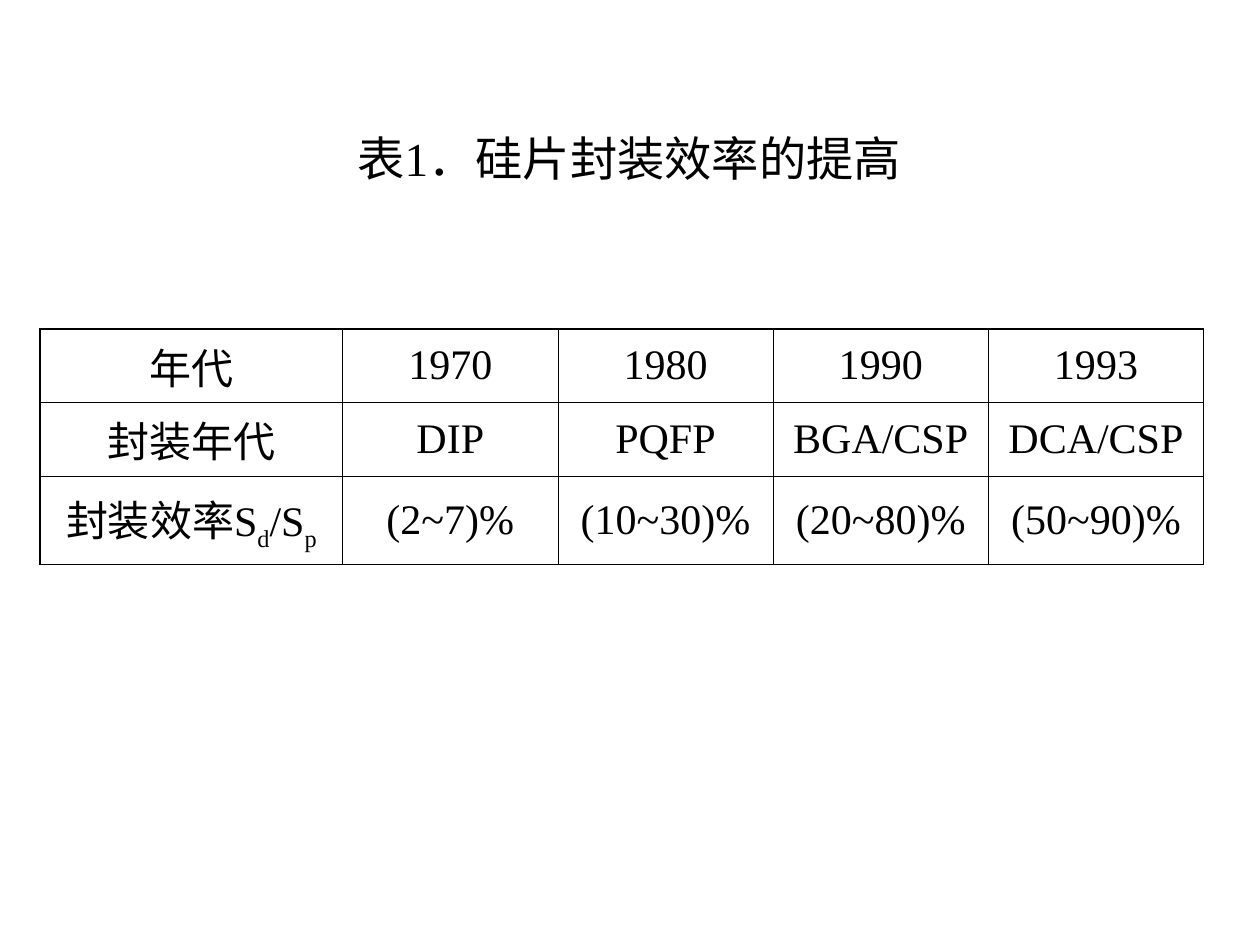
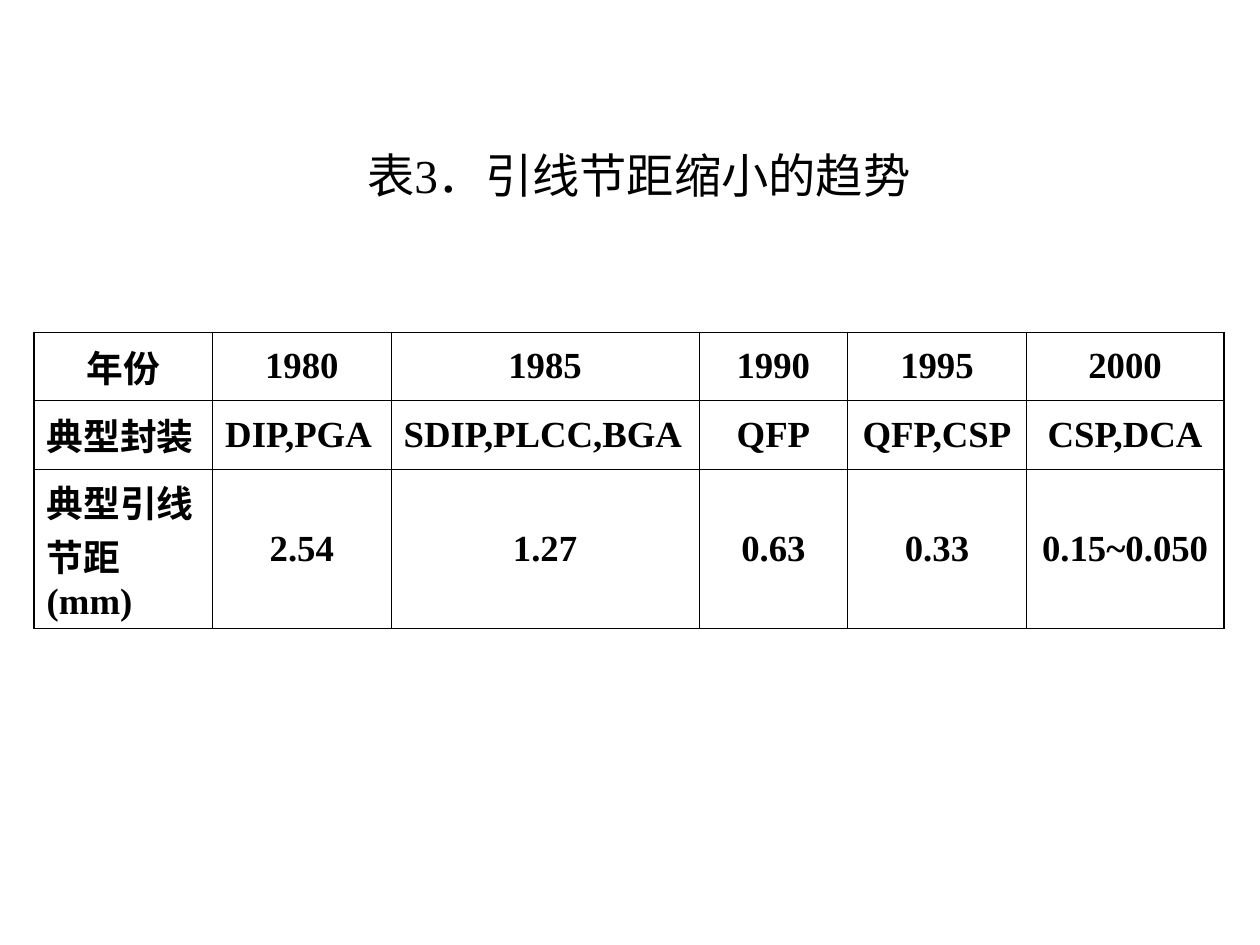
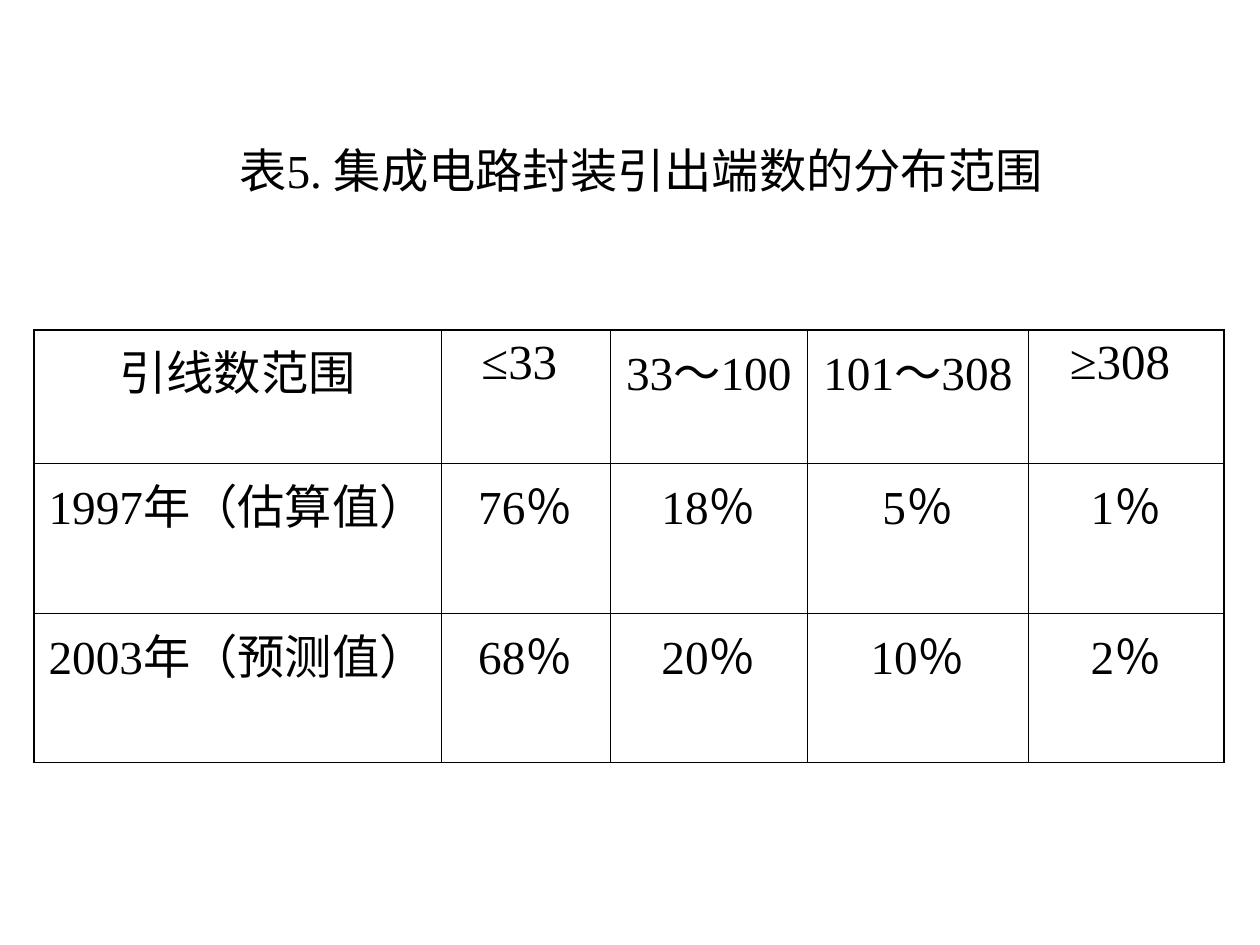
from dataclasses import dataclass

from lxml import etree
from pptx import Presentation
from pptx.dml.color import RGBColor
from pptx.enum.lang import MSO_LANGUAGE_ID
from pptx.enum.text import MSO_ANCHOR, MSO_AUTO_SIZE, PP_ALIGN
from pptx.oxml.ns import qn
from pptx.util import Pt

CENTER, LEFT = PP_ALIGN.CENTER, PP_ALIGN.LEFT
MIDDLE, TOP = MSO_ANCHOR.MIDDLE, MSO_ANCHOR.TOP
NO_AUTOFIT = MSO_AUTO_SIZE.NONE
CHINESE = MSO_LANGUAGE_ID.CHINESE_SINGAPORE if not hasattr(MSO_LANGUAGE_ID, "SIMPLIFIED_CHINESE") else MSO_LANGUAGE_ID.SIMPLIFIED_CHINESE
TITLE_ONLY = 5


@dataclass(frozen=True)
class Theme:
    """Colours, type sizes and line widths shared by the slides."""

    font: str = "Times New Roman"
    ink: str = "000000"
    paper: str = "FFFFFF"
    title: float = 27
    efficiency: float = 24
    pitch: float = 21
    terminals: float = 27
    limits: float = 28
    outer_line: float = 1.08
    inner_line: float = 0.45


THEME = Theme()


def apply_format(target, values):
    """Set each named attribute of the target."""
    for name, value in values.items():
        setattr(target, name, value)


def add_span(para, text, size, bold=False, subscript=False):
    """Add a run in the theme font, lowered if it is a subscript."""
    span = para.add_run()
    span.text = text
    apply_format(span.font, {
        "name": THEME.font,
        "size": Pt(size),
        "bold": bold,
        "language_id": CHINESE,
    })
    span.font.color.rgb = RGBColor.from_string(THEME.ink)
    if subscript:
        span.font._element.set("baseline", "-25000")


def add_page(deck, title, box):
    """Add a page whose title sits in the given box."""
    page = deck.slides.add_slide(deck.slide_layouts[TITLE_ONLY])
    page.background.fill.solid()
    page.background.fill.fore_color.rgb = RGBColor.from_string(THEME.paper)
    holder = page.shapes.title
    apply_format(holder, dict(zip(("left", "top", "width", "height"), map(Pt, box))))
    frame = holder.text_frame
    apply_format(frame, {"auto_size": NO_AUTOFIT, "word_wrap": True, "vertical_anchor": MIDDLE})
    para = frame.paragraphs[0]
    para.alignment = CENTER
    add_span(para, title, THEME.title)
    return page


def set_borders(cell, outer_sides):
    """Draw the cell borders, heavier on the outer sides of the table."""
    properties = cell._tc.get_or_add_tcPr()
    for side in "LRTB":
        width = THEME.outer_line if side in outer_sides else THEME.inner_line
        line = etree.SubElement(properties, qn(f"a:ln{side}"), w=str(int(Pt(width))))
        fill = etree.SubElement(line, qn("a:solidFill"))
        etree.SubElement(fill, qn("a:srgbClr"), val=THEME.ink)


def fill_cell(cell, content, size, bold, alignment, anchor):
    """Write the content; odd parts of a tuple are subscripts."""
    cell.vertical_anchor = anchor
    para = cell.text_frame.paragraphs[0]
    para.alignment = alignment
    parts = content if isinstance(content, tuple) else (content,)
    for index, text in enumerate(parts):
        add_span(para, text, size, bold, subscript=index % 2 == 1)


def add_grid(page, corner, widths, heights, rows, size,
             bold=False, anchor=MIDDLE, left_cells=(), sizes=None):
    """Add a ruled table with centred text, except in the left cells."""
    last_row, last_column = len(heights) - 1, len(widths) - 1
    shape = page.shapes.add_table(len(heights), len(widths), *map(Pt, corner),
                                  Pt(sum(widths)), Pt(sum(heights)))
    table = shape.table
    apply_format(table, {"first_row": False, "horz_banding": False})
    for column, width in zip(table.columns, widths):
        column.width = Pt(width)
    for row, height in zip(table.rows, heights):
        row.height = Pt(height)
    for r, contents in enumerate(rows):
        for c, content in enumerate(contents):
            cell = table.cell(r, c)
            edges = {"L": c == 0, "R": c == last_column, "T": r == 0, "B": r == last_row}
            set_borders(cell, [side for side, outer in edges.items() if outer])
            cell.fill.background()
            fill_cell(cell, content, (sizes or {}).get((r, c), size), bold,
                      LEFT if (r, c) in left_cells else CENTER, anchor)


def add_efficiency_page(deck):
    """Show how packaging efficiency rose."""
    page = add_page(deck, "表1．硅片封装效率的提高", (155.5, 65.5, 408, 49.5))
    add_grid(page, (23, 188), [172.8] + [123] * 4, [41.5, 41.5, 50.5], [
        ("年代", "1970", "1980", "1990", "1993"),
        ("封装年代", "DIP", "PQFP", "BGA/CSP", "DCA/CSP"),
        (("封装效率S", "d", "/S", "p"), "(2~7)%", "(10~30)%", "(20~80)%", "(50~90)%"),
    ], THEME.efficiency)


def add_pitch_page(deck):
    """Show how lead pitch shrank."""
    page = add_page(deck, "表3．引线节距缩小的趋势", (144, 77, 442, 45.5))
    add_grid(page, (19.5, 190), [102, 102, 176, 85, 102, 113], [39, 39, 83], [
        ("年份", "1980", "1985", "1990", "1995", "2000"),
        ("典型封装", "DIP,PGA", "SDIP,PLCC,BGA", "QFP", "QFP,CSP", "CSP,DCA"),
        ("典型引线节距(mm)", "2.54", "1.27", "0.63", "0.33", "0.15~0.050"),
    ], THEME.pitch, bold=True, left_cells={(1, 0), (1, 1), (1, 2), (2, 0)})


def add_terminals_page(deck):
    """Show the spread of terminal counts."""
    page = add_page(deck, "表5. 集成电路封装引出端数的分布范围", (103.5, 80, 525.5, 34))
    add_grid(page, (19.5, 188.5), [232.5, 96.5, 113, 126, 112], [72] * 3, [
        ("引线数范围", "≤33 ", "33～100", "101～308", "≥308 "),
        ("1997年（估算值）", "76％", "18％", "5％", "1％"),
        ("2003年（预测值）", "68％", "20％", "10％", "2％"),
    ], THEME.terminals, anchor=TOP, sizes={(0, 1): THEME.limits, (0, 4): THEME.limits})


def main():
    """Build the deck and save it."""
    deck = Presentation()
    apply_format(deck, {"slide_width": Pt(720), "slide_height": Pt(540)})
    add_efficiency_page(deck)
    add_pitch_page(deck)
    add_terminals_page(deck)
    deck.save("out.pptx")


if __name__ == "__main__":
    main()
